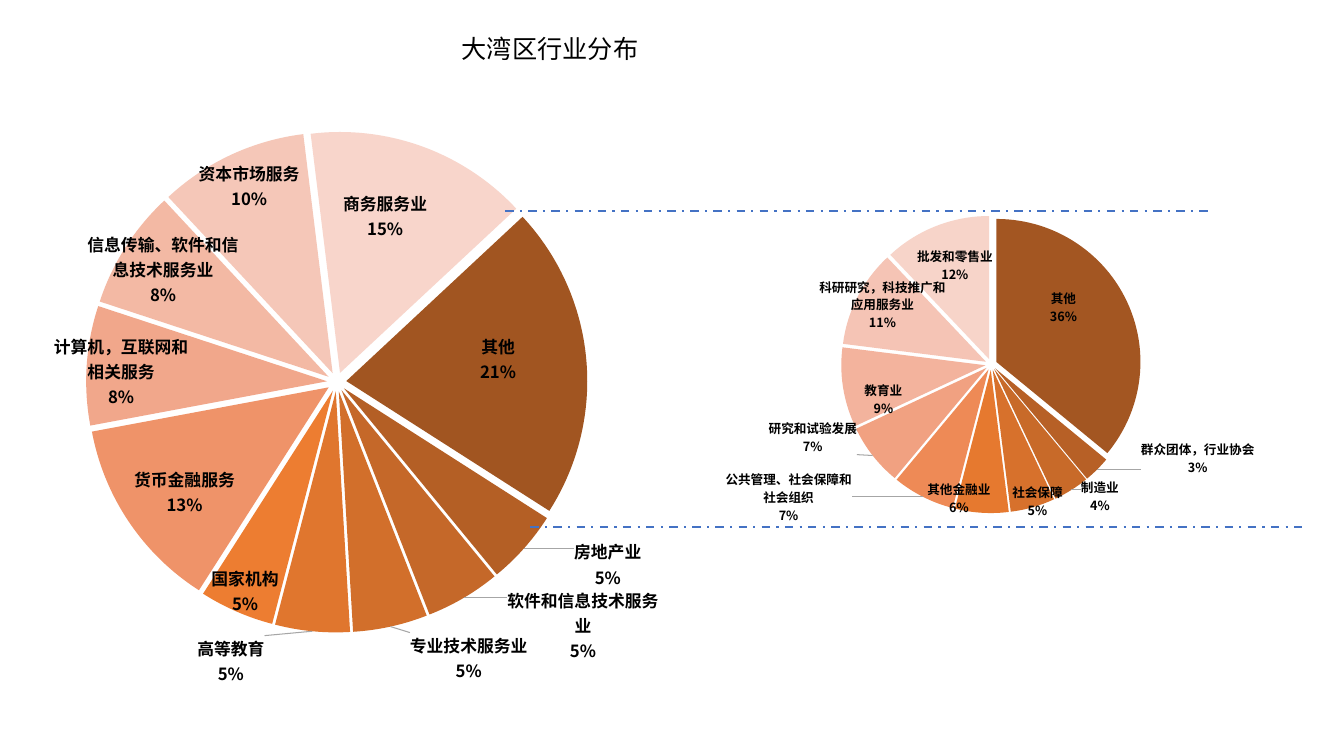
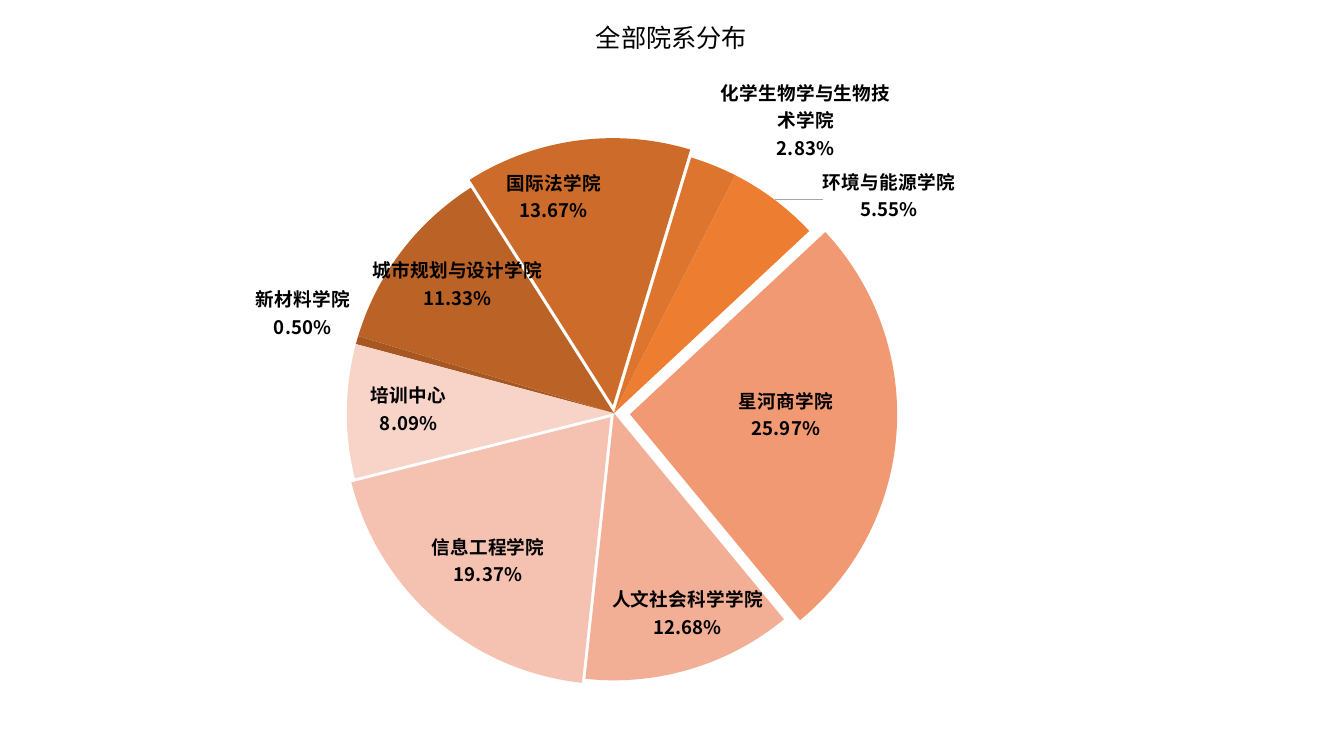
from copy import deepcopy
from dataclasses import dataclass
from math import cos, radians, sin
from typing import NamedTuple

from lxml import etree
from pptx import Presentation
from pptx.chart.data import CategoryChartData
from pptx.dml.color import RGBColor
from pptx.enum.chart import XL_CHART_TYPE, XL_LABEL_POSITION
from pptx.enum.dml import MSO_LINE
from pptx.enum.shapes import MSO_CONNECTOR
from pptx.enum.text import MSO_ANCHOR, MSO_AUTO_SIZE, PP_ALIGN
from pptx.oxml.ns import qn
from pptx.util import Inches, Pt

PIE = XL_CHART_TYPE.PIE
OUTSIDE_END = XL_LABEL_POSITION.OUTSIDE_END
DASH_DOT = MSO_LINE.DASH_DOT
STRAIGHT = MSO_CONNECTOR.STRAIGHT
TOP = MSO_ANCHOR.TOP
LEFT = PP_ALIGN.LEFT
NO_AUTO_SIZE = MSO_AUTO_SIZE.NONE

FONT = "Noto Sans CJK SC"
BLACK = "000000"
GUIDE_BLUE = "4472C4"
LEADER_GRAY = "A6A6A6"
TITLE_SIZE = 18
LABEL_GAP = 0.06
LINE_HEIGHT = 1.45
SIDE_TOLERANCE = sin(radians(5))


class Slice(NamedTuple):
    name: str
    value: float
    color: str
    label_x: float
    label_y: float
    explosion: int = 4


class Guide(NamedTuple):
    left: float
    right: float
    y: float


@dataclass
class Pie:
    left: float
    top: float
    width: float
    height: float
    center_x: float
    center_y: float
    radius: float
    label_size: float
    characters_per_line: int
    slices: list[Slice]
    start_angle: int = 0
    number_format: str = "0%"


INDUSTRIES = Pie(-0.86, 0.69, 7.7, 6.32, 3.34, 3.79, 2.39, 12, 8, [
    Slice("其他", 21, "A15521", 4.93, 3.57),
    Slice("房地产业", 5, "B45F25", 6.03, 5.59),
    Slice("软件和信息技术服务业", 5, "C56829", 5.7, 6.19),
    Slice("专业技术服务业", 5, "D26F2B", 4.65, 6.52),
    Slice("高等教育", 5, "E0762E", 2.29, 6.55),
    Slice("国家机构", 5, "ED7D31", 2.43, 5.85),
    Slice("货币金融服务", 13, "EF9369", 1.83, 4.87),
    Slice("计算机，互联网和相关服务", 8, "F1A78B", 1.2, 3.68),
    Slice("信息传输、软件和信息技术服务业", 8, "F3B9A4", 1.7, 2.68),
    Slice("资本市场服务", 10, "F5C7B8", 2.47, 1.85),
    Slice("商务服务业", 15, "F8D5CB", 3.82, 2.15),
], start_angle=47)

OTHER_INDUSTRIES = Pie(6.67, 1.75, 6.5, 3.76, 9.83, 3.63, 1.43, 9, 10, [
    Slice("其他", 36, "A35622", 10.54, 3.05),
    Slice("群众团体，行业协会", 3, "B76026", 11.88, 4.57),
    Slice("制造业", 4, "C86A29", 10.91, 4.95),
    Slice("社会保障", 5, "D7712C", 10.29, 5),
    Slice("其他金融业", 6, "E6792F", 9.51, 4.97),
    Slice("公共管理、社会保障和社会组织", 7, "EE8A56", 7.82, 4.96),
    Slice("研究和试验发展", 7, "F1A181", 8.06, 4.36),
    Slice("教育业", 9, "F3B39D", 8.76, 3.98),
    Slice("科研研究，科技推广和应用服务业", 11, "F5C4B5", 8.75, 3.02),
    Slice("批发和零售业", 12, "F7D4C9", 9.47, 2.63),
])

SCHOOLS = Pie(1.29, 0.48, 9.25, 7.02, 6.09, 4.1, 2.65, 13.3, 9, [
    Slice("新材料学院", 0.5, "A65722", 3.01, 3.1, 0),
    Slice("城市规划与设计学院", 11.33, "BB6327", 4.55, 2.81, 0),
    Slice("国际法学院", 13.67, "CD6C2A", 5.5, 1.94, 3),
    Slice("化学生物学与生物技术学院", 2.83, "DE752E", 7.98, 1.19, 0),
    Slice("环境与能源学院", 5.55, "ED7D31", 8.81, 1.93, 0),
    Slice("星河商学院", 25.97, "F09973", 7.79, 4.1, 6),
    Slice("人文社会科学学院", 12.68, "F2AF96", 6.81, 6.07, 0),
    Slice("信息工程学院", 19.37, "F5C2B1", 4.85, 5.55, 2),
    Slice("培训中心", 8.09, "F7D3C8", 4.06, 4.05, 0),
], start_angle=285, number_format="0.00%")

GUIDES = [Guide(5.26, 12.95, 5.23), Guide(5.01, 12.04, 2.09)]


def rgb(color: str) -> RGBColor:
    return RGBColor.from_string(color)


def format_font(font, size: float, bold: bool = False, color: str = BLACK) -> None:
    font.name = FONT
    font.size = Pt(size)
    font.bold = bold
    font.color.rgb = rgb(color)
    latin = font._element.find(qn("a:latin"))
    east_asian = etree.Element(qn("a:ea"), typeface=FONT)
    latin.addnext(east_asian)


def write_text(shape, text: str, *, size: float, alignment=LEFT) -> None:
    frame = shape.text_frame
    frame.word_wrap = False
    frame.auto_size = NO_AUTO_SIZE
    frame.vertical_anchor = TOP
    paragraph = frame.paragraphs[0]
    paragraph.alignment = alignment
    run = paragraph.add_run()
    run.text = text
    format_font(run.font, size)


def add_titled_slide(presentation, text: str, left: float, top: float, width: float):
    slide = presentation.slides.add_slide(presentation.slide_layouts[5])
    title = slide.shapes.title
    title.left, title.top = Inches(left), Inches(top)
    title.width, title.height = Inches(width), Inches(0.4)
    write_text(title, text, size=TITLE_SIZE)
    return slide


def manual_layout(**settings: object):
    layout = etree.Element(qn("c:layout"))
    manual = etree.SubElement(layout, qn("c:manualLayout"))
    for name, value in settings.items():
        etree.SubElement(manual, qn(f"c:{name}"), val=str(value))
    return layout


def side(component: float) -> int:
    if abs(component) < SIDE_TOLERANCE:
        return 0
    return 1 if component > 0 else -1


def label_offsets(pie: Pie) -> list[tuple[float, float]]:
    total = sum(item.value for item in pie.slices)
    character = pie.label_size / 72
    offsets = []
    passed = 0.0
    for item in pie.slices:
        angle = radians(pie.start_angle + 360 * (passed + item.value / 2) / total)
        passed += item.value
        across, down = sin(angle), -cos(angle)
        reach = pie.radius * (1 + item.explosion / 100) + LABEL_GAP
        lines = 1 - (-len(item.name) // pie.characters_per_line)
        half_width = min(len(item.name), pie.characters_per_line) * character / 2
        half_height = lines * character * LINE_HEIGHT / 2
        default_x = pie.center_x + reach * across + side(across) * half_width
        default_y = pie.center_y + reach * down + side(down) * half_height
        offsets.append((round((item.label_x - default_x) / pie.width, 4),
                        round((item.label_y - default_y) / pie.height, 4)))
    return offsets


def add_leader_lines(labels_element) -> None:
    etree.SubElement(labels_element, qn("c:showLeaderLines"), val="1")
    leader_lines = etree.SubElement(labels_element, qn("c:leaderLines"))
    properties = etree.SubElement(leader_lines, qn("c:spPr"))
    line = etree.SubElement(properties, qn("a:ln"), w=str(Pt(0.75)))
    fill = etree.SubElement(line, qn("a:solidFill"))
    etree.SubElement(fill, qn("a:srgbClr"), val=LEADER_GRAY)


def place_labels(series, pie: Pie) -> None:
    labels = series.data_labels
    labels.show_value = False
    labels.show_percentage = True
    labels.show_category_name = True
    labels.number_format = pie.number_format
    labels.number_format_is_linked = False
    labels.position = OUTSIDE_END
    format_font(labels.font, pie.label_size, bold=True)
    element = labels._element
    for leader in element.findall(qn("c:showLeaderLines")):
        element.remove(leader)
    separator = etree.SubElement(element, qn("c:separator"))
    separator.text = "\n"
    shared = list(element)
    for index, (x, y) in enumerate(label_offsets(pie)):
        label = etree.Element(qn("c:dLbl"))
        etree.SubElement(label, qn("c:idx"), val=str(index))
        label.append(manual_layout(x=x, y=y))
        label.extend(deepcopy(child) for child in shared)
        element.insert(index, label)
    add_leader_lines(element)


def add_pie(slide, pie: Pie) -> None:
    data = CategoryChartData()
    data.categories = [item.name for item in pie.slices]
    data.add_series("Series 1", [item.value for item in pie.slices])
    frame = slide.shapes.add_chart(PIE, Inches(pie.left), Inches(pie.top),
                                   Inches(pie.width), Inches(pie.height), data)
    chart = frame.chart
    chart.has_title = False
    chart.has_legend = False
    format_font(chart.font, 10)
    plot = chart.plots[0]
    plot.vary_by_categories = True
    series = plot.series[0]
    for index, item in enumerate(pie.slices):
        point_format = series.points[index].format
        point_format.fill.solid()
        point_format.fill.fore_color.rgb = rgb(item.color)
        point_format.line.fill.background()
    for properties, item in zip(chart.element.xpath(".//c:dPt/c:spPr"), pie.slices):
        properties.addprevious(etree.Element(qn("c:explosion"), val=str(item.explosion)))
    place_labels(series, pie)

    plot_area = chart.element.xpath(".//c:plotArea")[0]
    for layout in plot_area.findall(qn("c:layout")):
        plot_area.remove(layout)
    plot_area.insert(0, manual_layout(
        layoutTarget="inner", xMode="edge", yMode="edge",
        x=round((pie.center_x - pie.radius - pie.left) / pie.width, 4),
        y=round((pie.center_y - pie.radius - pie.top) / pie.height, 4),
        w=round(2 * pie.radius / pie.width, 4),
        h=round(2 * pie.radius / pie.height, 4)))
    pie_chart = plot_area.find(qn("c:pieChart"))
    for angle in pie_chart.findall(qn("c:firstSliceAng")):
        pie_chart.remove(angle)
    etree.SubElement(pie_chart, qn("c:firstSliceAng"), val=str(pie.start_angle))


def add_guide(slide, guide: Guide) -> None:
    connector = slide.shapes.add_connector(STRAIGHT, Inches(guide.left), Inches(guide.y),
                                           Inches(guide.right), Inches(guide.y))
    connector.line.color.rgb = rgb(GUIDE_BLUE)
    connector.line.width = Pt(1.5)
    connector.line.dash_style = DASH_DOT
    etree.SubElement(connector._element.spPr, qn("a:effectLst"))


def main() -> None:
    presentation = Presentation()
    presentation.slide_width = Inches(13.33)
    presentation.slide_height = Inches(7.5)

    industry_slide = add_titled_slide(presentation, "大湾区行业分布", 4.48, 0.28, 1.97)
    for pie in (INDUSTRIES, OTHER_INDUSTRIES):
        add_pie(industry_slide, pie)
    for guide in GUIDES:
        add_guide(industry_slide, guide)

    school_slide = add_titled_slide(presentation, "全部院系分布", 5.81, 0.17, 1.72)
    add_pie(school_slide, SCHOOLS)

    presentation.save("out.pptx")


if __name__ == "__main__":
    main()
